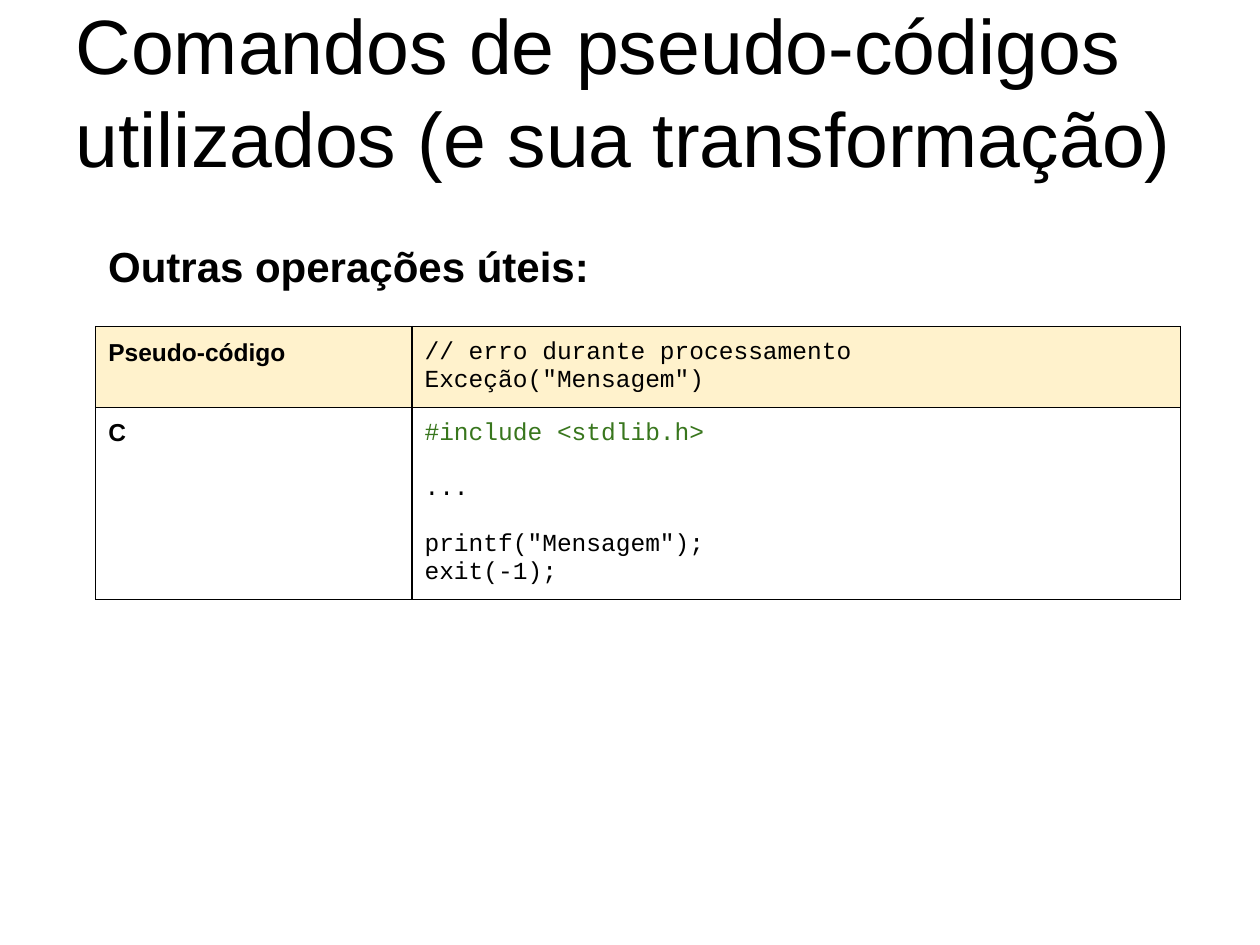
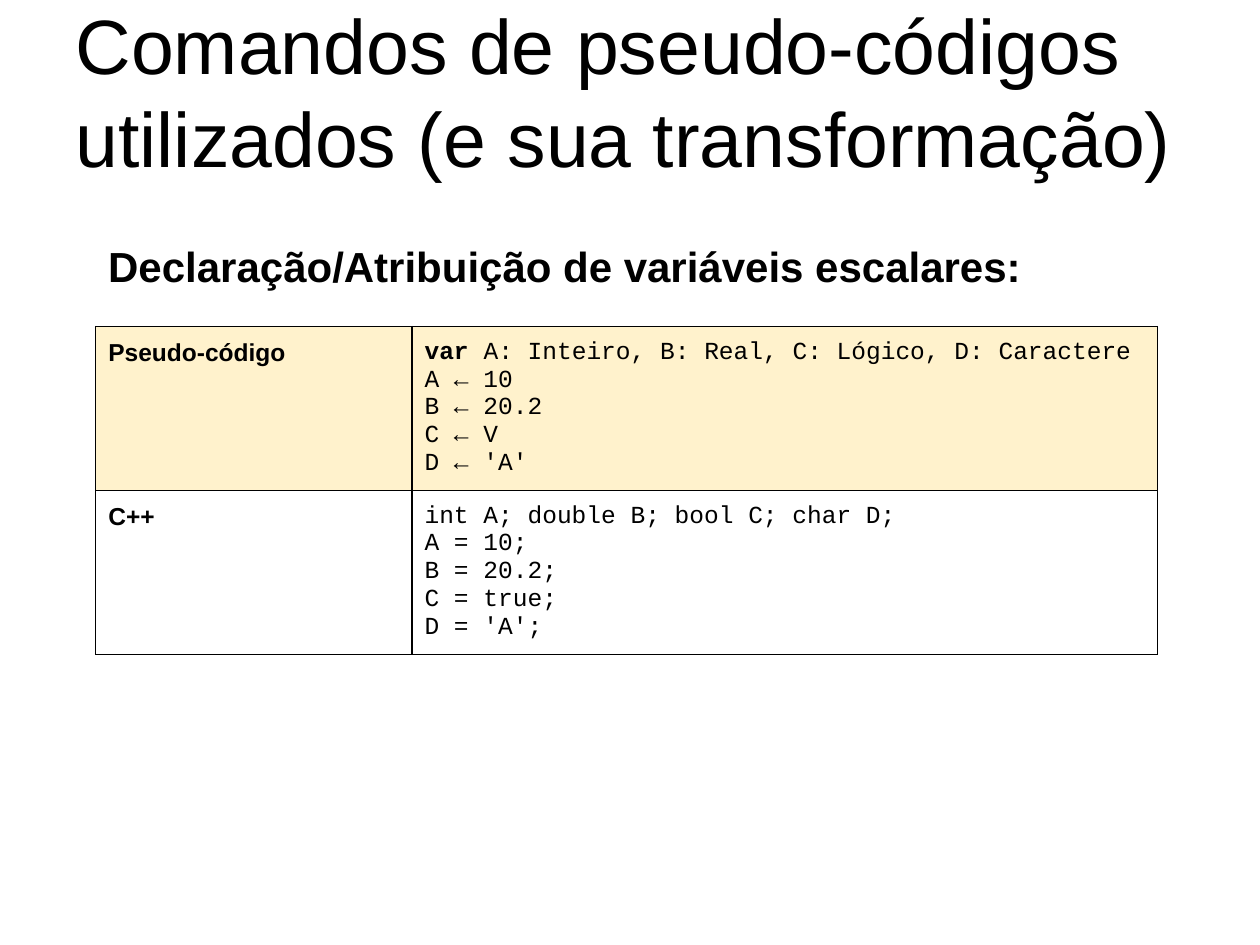
from pptx import Presentation
from pptx.dml.color import RGBColor
from pptx.enum.text import MSO_ANCHOR, MSO_AUTO_SIZE, PP_ALIGN
from pptx.oxml import parse_xml
from pptx.oxml.ns import nsdecls
from pptx.util import Pt

PX = 9144
BOTTOM, TOP = MSO_ANCHOR.BOTTOM, MSO_ANCHOR.TOP
LEFT = PP_ALIGN.LEFT
NO_AUTOFIT = MSO_AUTO_SIZE.NONE

BLACK = RGBColor(0x00, 0x00, 0x00)
CREAM = RGBColor(0xFF, 0xF2, 0xCC)
GREEN = RGBColor(0x38, 0x76, 0x1D)
TEXT_FONT, CODE_FONT = "Arial", "Courier New"
CODE_SIZE, CODE_LINE = 14, 16

TITLE = "Comandos de pseudo-códigos utilizados (e sua transformação)"
TITLE_BOX = (50, 30, 900, 125)
HEADING_BOX = (76, 175, 792, 543)
TABLE_ORIGIN = (76, 259)
LABEL_WIDTH, ROW_HEIGHT, INSET = 251, 42, 10
KEYWORD = "var "

SLIDES = [
    ("Outras operações úteis:", 610, [
        ("Pseudo-código", """// erro durante processamento
Exceção("Mensagem")"""),
        ("C", """#include <stdlib.h>

...

printf("Mensagem");
exit(-1);"""),
    ]),
    ("Declaração/Atribuição de variáveis escalares:", 592, [
        ("Pseudo-código", """var A: Inteiro, B: Real, C: Lógico, D: Caractere
A ← 10
B ← 20.2
C ← V
D ← 'A'"""),
        ("C++", """int A; double B; bool C; char D;
A = 10;
B = 20.2;
C = true;
D = 'A';"""),
    ]),
]


def px(*lengths):
    """Turn pixel lengths into EMU."""
    return [length * PX for length in lengths]


def style(run, size, font=TEXT_FONT, bold=False, color=BLACK):
    """Set the font of one run."""
    run.font.name = font
    run.font.size = Pt(size)
    run.font.bold = bold
    run.font.color.rgb = color


def set_insets(holder):
    """Give a text frame or a cell the shared margins."""
    holder.margin_left = holder.margin_right = INSET * PX
    holder.margin_top = holder.margin_bottom = INSET * PX


def fill_frame(frame, text, anchor, size, bold=False):
    """Write one left-aligned paragraph into a text frame."""
    frame.text = text
    frame.word_wrap = True
    frame.auto_size = NO_AUTOFIT
    frame.vertical_anchor = anchor
    set_insets(frame)
    paragraph = frame.paragraphs[0]
    paragraph.alignment = LEFT
    style(paragraph.runs[0], size, bold=bold)
    return paragraph


def add_title(slide, box):
    """Place and format the title placeholder."""
    title = slide.shapes.title
    title.left, title.top, title.width, title.height = px(*box)
    fill_frame(title.text_frame, TITLE, BOTTOM, 44)


def add_heading(slide, box, text):
    """Add the bold heading above the table."""
    heading = slide.shapes.add_textbox(*px(*box))
    paragraph = fill_frame(heading.text_frame, text, TOP, 24, bold=True)
    paragraph.line_spacing = 1.15


def write_code(frame, code):
    """Write code lines, turning empty lines into space before the next."""
    paragraph, gap = frame.paragraphs[0], 0
    for number, line in enumerate(code.split("\n")):
        if not line:
            gap += CODE_LINE
            continue
        if number:
            paragraph = frame.add_paragraph()
        if gap:
            paragraph.space_before = Pt(gap)
            gap = 0
        color = GREEN if line.startswith("#") else BLACK
        keyword = KEYWORD if line.startswith(KEYWORD) else ""
        for part in filter(None, (keyword, line[len(keyword):])):
            run = paragraph.add_run()
            run.text = part
            style(run, CODE_SIZE, CODE_FONT, part == KEYWORD, color)


def format_cell(cell, shaded):
    """Set the borders, margins and fill of a cell."""
    set_insets(cell)
    cell.vertical_anchor = TOP
    properties = cell._tc.get_or_add_tcPr()
    for side in ("lnL", "lnR", "lnT", "lnB"):
        properties.append(parse_xml(
            f'<a:{side} {nsdecls("a")} w="{Pt(0.75)}"><a:solidFill>'
            f'<a:srgbClr val="{BLACK}"/></a:solidFill></a:{side}>'))
    if shaded:
        cell.fill.solid()
        cell.fill.fore_color.rgb = CREAM
    else:
        cell.fill.background()


def add_code_table(slide, origin, code_width, rows):
    """Add the table that sets pseudo-code beside its translation."""
    widths = (LABEL_WIDTH, code_width)
    size = (sum(widths), ROW_HEIGHT * len(rows))
    table = slide.shapes.add_table(len(rows), 2, *px(*origin, *size)).table
    table.first_row = table.horz_banding = False
    for column, width in zip(table.columns, px(*widths)):
        column.width = width
    for index, (language, code) in enumerate(rows):
        label, listing = table.rows[index].cells
        for cell in (label, listing):
            format_cell(cell, shaded=index == 0)
        label.text_frame.text = language
        style(label.text_frame.paragraphs[0].runs[0], CODE_SIZE, bold=True)
        write_code(listing.text_frame, code)


def main():
    """Build and save the presentation."""
    deck = Presentation()
    deck.slide_width, deck.slide_height = px(1000, 750)
    title_only = deck.slide_layouts[5]
    for heading, code_width, rows in SLIDES:
        slide = deck.slides.add_slide(title_only)
        add_title(slide, TITLE_BOX)
        add_heading(slide, HEADING_BOX, heading)
        add_code_table(slide, TABLE_ORIGIN, code_width, rows)
    deck.save("out.pptx")


if __name__ == "__main__":
    main()
